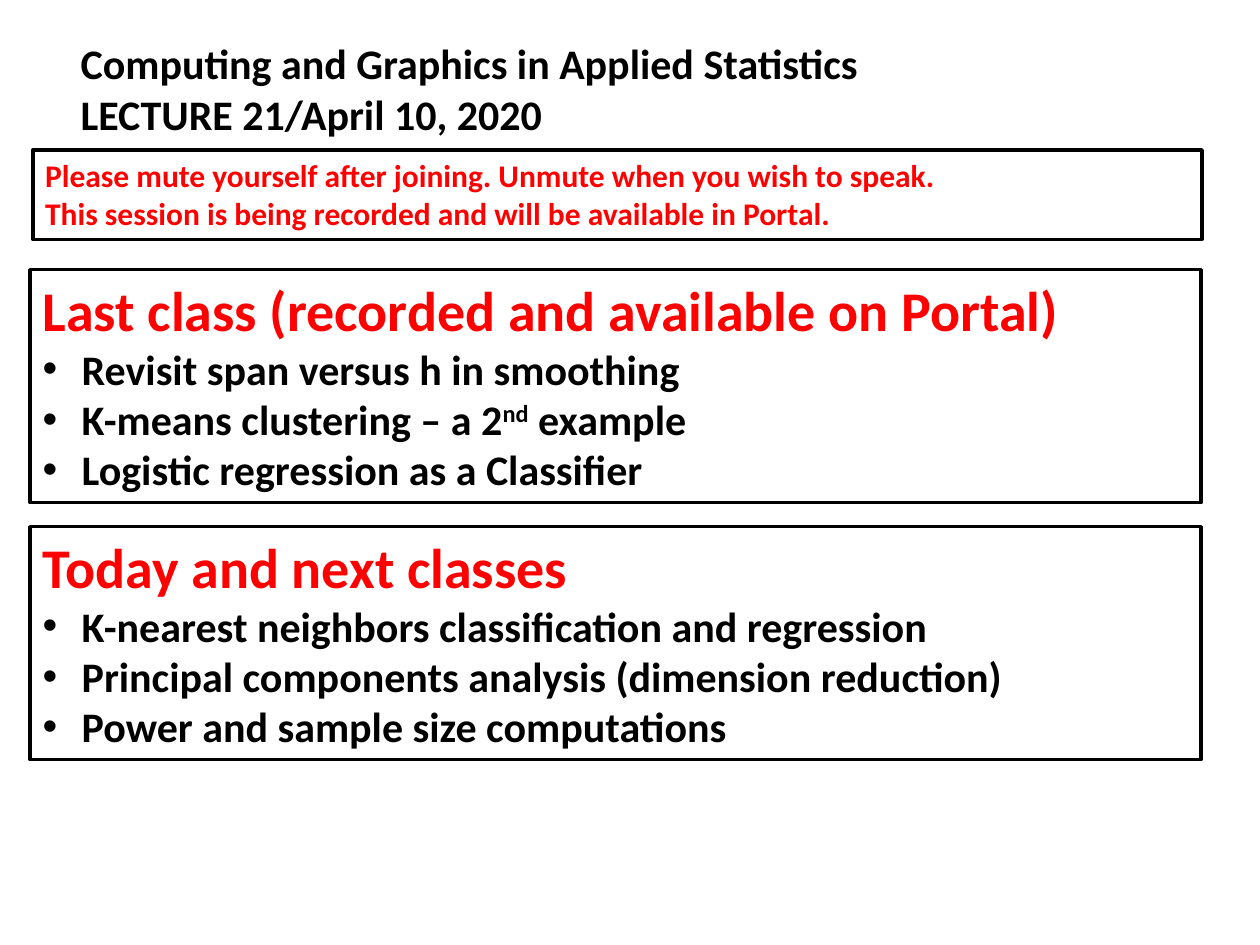
import pptx
import pptx.util
import pptx.dml.color
import pptx.enum.shapes
import pptx.enum.text
import pptx.oxml
import pptx.oxml.ns
import lxml.etree

Inches = pptx.util.Inches
Pt = pptx.util.Pt
BLACK = pptx.dml.color.RGBColor(0, 0, 0)
RED = pptx.dml.color.RGBColor(255, 0, 0)
WHITE = pptx.dml.color.RGBColor(255, 255, 255)
FONT = "Calibri"


def add_run(paragraph, text, size, color, superscript=False):
    run = paragraph.add_run()
    run.text = text
    run.font.name = FONT
    run.font.size = Pt(size)
    run.font.bold = True
    run.font.color.rgb = color
    if superscript:
        run.font._element.set("baseline", "30000")


def add_paragraph(text_frame, runs, size, color, bullet=False):
    """Fill the first empty paragraph or append one; runs are (text, superscript)."""
    paragraph = text_frame.paragraphs[0]
    if paragraph.runs:
        paragraph = text_frame.add_paragraph()
    paragraph.alignment = pptx.enum.text.PP_ALIGN.LEFT
    if bullet:
        properties = paragraph._p.get_or_add_pPr()
        properties.set("marL", str(Inches(0.31)))
        properties.set("indent", str(-Inches(0.31)))
        for tag, name, value in (("a:buFont", "typeface", "Arial"), ("a:buChar", "char", "•")):
            element = lxml.etree.SubElement(properties, pptx.oxml.ns.qn(tag))
            element.set(name, value)
    for text, superscript in runs:
        add_run(paragraph, text, size, color, superscript)


def prepare_text(text_frame):
    text_frame.word_wrap = True
    text_frame.auto_size = pptx.enum.text.MSO_AUTO_SIZE.NONE
    text_frame.vertical_anchor = pptx.enum.text.MSO_ANCHOR.TOP


def add_title(slide, left, top, width, height, lines):
    title = slide.shapes.title
    title.left, title.top = Inches(left), Inches(top)
    title.width, title.height = Inches(width), Inches(height)
    prepare_text(title.text_frame)
    for line in lines:
        add_paragraph(title.text_frame, [(line, False)], 24, BLACK)


def add_box(slide, left, top, width, height):
    box = slide.shapes.add_shape(
        pptx.enum.shapes.MSO_SHAPE.RECTANGLE,
        Inches(left), Inches(top), Inches(width), Inches(height))
    box.shadow.inherit = False
    box.fill.solid()
    box.fill.fore_color.rgb = WHITE
    box.line.color.rgb = BLACK
    box.line.width = Pt(2)
    prepare_text(box.text_frame)
    return box.text_frame


def add_notice(slide, left, top, width, height, lines):
    text_frame = add_box(slide, left, top, width, height)
    for line in lines:
        add_paragraph(text_frame, [(line, False)], 18, RED)


def add_agenda(slide, left, top, width, height, heading, items):
    text_frame = add_box(slide, left, top, width, height)
    add_paragraph(text_frame, [(heading, False)], 32, RED)
    for runs in items:
        add_paragraph(text_frame, runs, 24, BLACK, bullet=True)


presentation = pptx.Presentation()
presentation.slide_width = Inches(10)
presentation.slide_height = Inches(7.5)
slide = presentation.slides.add_slide(presentation.slide_layouts[5])

# Course title
add_title(slide, 0.54, 0.25, 8, 1.31, [
    "Computing and Graphics in Applied Statistics",
    "LECTURE 21/April 10, 2020"])

# Class agendas
agendas = [
    ("Last class (recorded and available on Portal)", [
        [("Revisit span versus h in smoothing", False)],
        [("K-means clustering – a 2", False), ("nd", True), (" example", False)],
        [("Logistic regression as a Classifier", False)]]),
    ("Today and next classes", [
        [("K-nearest neighbors classification and regression", False)],
        [("Principal components analysis (dimension reduction)", False)],
        [("Power and sample size computations", False)]]),
]
for index, (heading, items) in enumerate(agendas):
    add_agenda(slide, 0.24, 2.14 + 2.04 * index, 9.29, 1.85, heading, items)

# Session notice
add_notice(slide, 0.26, 1.19, 9.28, 0.71, [
    "Please mute yourself after joining. Unmute when you wish to speak.",
    "This session is being recorded and will be available in Portal."])

presentation.save("out.pptx")
